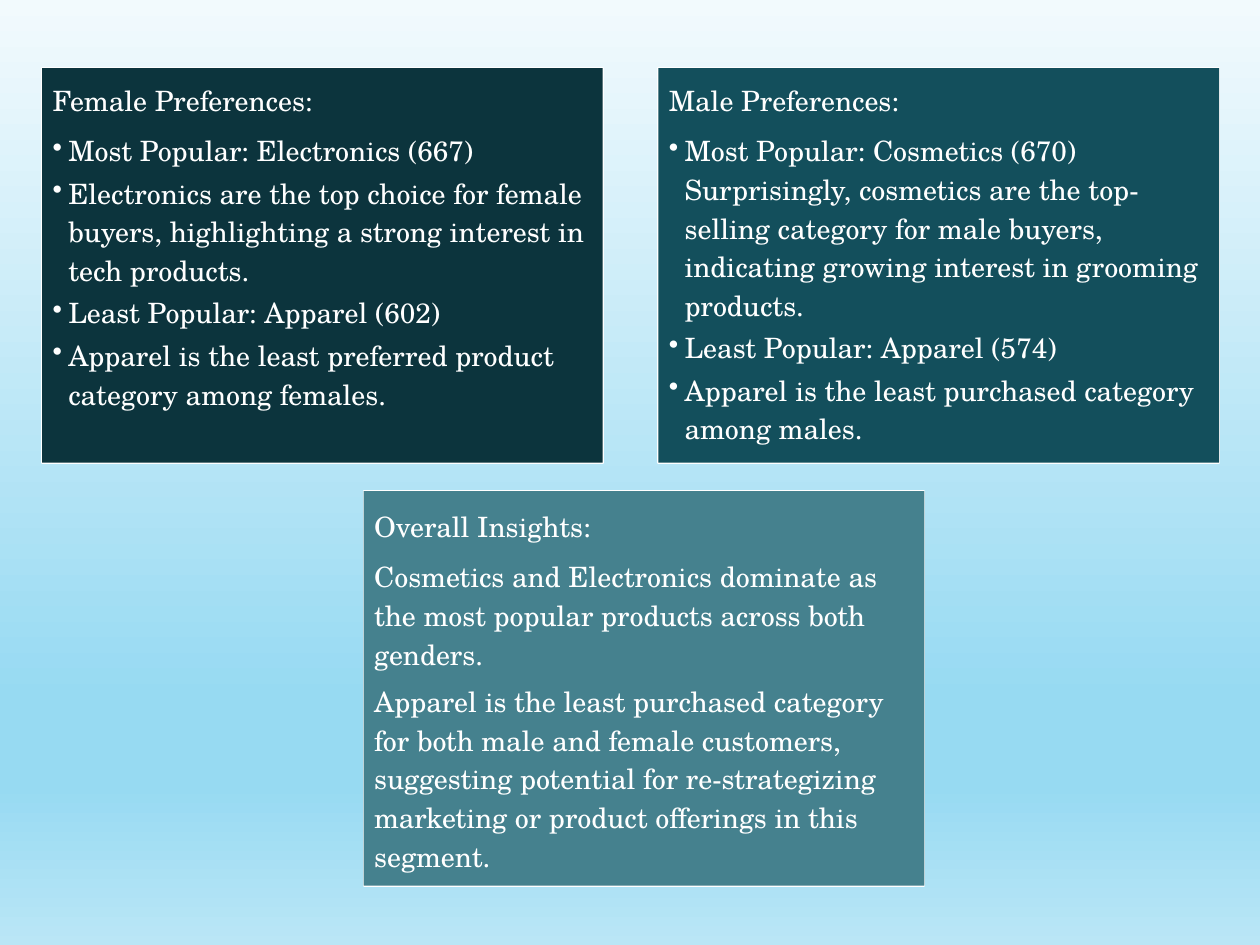
from lxml import etree
from pptx import Presentation
from pptx.dml.color import RGBColor
from pptx.enum.shapes import MSO_SHAPE
from pptx.enum.text import MSO_ANCHOR, PP_ALIGN
from pptx.oxml.ns import qn
from pptx.util import Pt

RECTANGLE = MSO_SHAPE.RECTANGLE
TOP, MIDDLE = MSO_ANCHOR.TOP, MSO_ANCHOR.MIDDLE
LEFT = PP_ALIGN.LEFT

WHITE = RGBColor(0xFF, 0xFF, 0xFF)
DARK_TEAL = RGBColor(0x0C, 0x34, 0x3D)
TEAL = RGBColor(0x13, 0x4F, 0x5C)
SOFT_TEAL = RGBColor(0x45, 0x81, 0x8E)
BLUE = RGBColor(0x23, 0x83, 0xC6)
CYAN = RGBColor(0x24, 0xCE, 0xD7)
GREEN = RGBColor(0x42, 0xBA, 0x97)
PALE_SKY = RGBColor(0xF2, 0xFA, 0xFD)
SKY = RGBColor(0x97, 0xDA, 0xF2)
LIGHT_SKY = RGBColor(0xBA, 0xE6, 0xF6)

SKY_STOPS = [(0, PALE_SKY), (74, SKY), (83, SKY), (100, LIGHT_SKY)]
FONT_FORMAT = {"name": "TeX Gyre Schola", "size": Pt(16)}
PANEL_WIDTH, PANEL_HEIGHT = 320.4, 225.5
ROW_LEFT, ROW_TOP, COLUMN_GAP, ROW_GAP = 24, 38.9, 31.8, 16.2
INSIGHTS_LEFT = 207.8
INSET, BULLET_INDENT = 6, 9

# Space before the paragraphs below the heading: first, then the others
BULLET_SPACES = (6.7, 2.2)
PLAIN_SPACES = (7, 5.2)

FEMALE = {
    "heading": "Female Preferences:",
    "lines": [
        "Most Popular: Electronics (667)",
        "Electronics are the top choice for female buyers, highlighting a "
        "strong interest in tech products.",
        "Least Popular: Apparel (602)",
        "Apparel is the least preferred product category among females.",
    ],
    "fill": DARK_TEAL, "frame": BLUE, "bulleted": True,
}
MALE = {
    "heading": "Male Preferences:",
    "lines": [
        "Most Popular: Cosmetics (670) Surprisingly, cosmetics are the "
        "top-selling category for male buyers, indicating growing interest "
        "in grooming products.",
        "Least Popular: Apparel (574)",
        "Apparel is the least purchased category among males.",
    ],
    "fill": TEAL, "frame": CYAN, "bulleted": True,
}
INSIGHTS = {
    "heading": "Overall Insights:",
    "lines": [
        "Cosmetics and Electronics dominate as the most popular products "
        "across both genders.",
        "Apparel is the least purchased category for both male and female "
        "customers, suggesting potential for re-strategizing marketing or "
        "product offerings in this segment.",
    ],
    "fill": SOFT_TEAL, "frame": GREEN, "bulleted": False,
}


def paint_background(page):
    fill = page.background.fill
    fill.gradient()
    fill.gradient_angle = 270
    # The stop list is rebuilt, as a new gradient has two stops only
    stop_list = next(page.background._cSld.iter(qn("a:gsLst")))
    for stop in list(stop_list):
        stop_list.remove(stop)
    for percent, color in SKY_STOPS:
        stop = etree.SubElement(stop_list, qn("a:gs"), pos=str(percent * 1000))
        etree.SubElement(stop, qn("a:srgbClr"), val=str(color))


def add_bullet(para):
    properties = para._p.get_or_add_pPr()
    properties.set("marL", str(Pt(BULLET_INDENT)))
    properties.set("indent", str(-Pt(BULLET_INDENT)))
    color = etree.SubElement(properties, qn("a:buClr"))
    etree.SubElement(color, qn("a:srgbClr"), val=str(WHITE))
    etree.SubElement(properties, qn("a:buChar"), char="•")


def write_paragraph(para, text, space_before=None, bulleted=False):
    if bulleted:
        para.level = 1
        add_bullet(para)
    para.alignment = LEFT
    para.line_spacing = 1.15
    if space_before is not None:
        para.space_before = Pt(space_before)
    span = para.add_run()
    span.text = text
    for name, value in FONT_FORMAT.items():
        setattr(span.font, name, value)
    span.font.color.rgb = WHITE


def add_rectangle(shapes, box, color):
    rectangle = shapes.add_shape(RECTANGLE, *(Pt(length) for length in box))
    rectangle.shadow.inherit = False
    rectangle.fill.solid()
    rectangle.fill.fore_color.rgb = color
    return rectangle


def add_panel(shapes, box, content):
    # White outline behind the panel
    frame = add_rectangle(shapes, box, content["frame"])
    frame.line.color.rgb = WHITE
    frame.line.width = Pt(1.25)

    # Panel with its text
    panel = add_rectangle(shapes, box, content["fill"])
    panel.line.fill.background()
    bulleted = content["bulleted"]
    text_frame = panel.text_frame
    text_format = {
        "word_wrap": True,
        "vertical_anchor": TOP if bulleted else MIDDLE,
        **{f"margin_{side}": Pt(INSET) for side in ("left", "top", "right", "bottom")},
    }
    for name, value in text_format.items():
        setattr(text_frame, name, value)

    write_paragraph(text_frame.paragraphs[0], content["heading"])
    first_space, next_space = BULLET_SPACES if bulleted else PLAIN_SPACES
    for index, line in enumerate(content["lines"]):
        space = next_space if index else first_space
        write_paragraph(text_frame.add_paragraph(), line, space, bulleted)


def main():
    deck = Presentation()
    deck.slide_width, deck.slide_height = Pt(720), Pt(540)
    page = deck.slides.add_slide(deck.slide_layouts[6])
    paint_background(page)

    # Two panels side by side, the insights below them
    shapes = page.shapes.add_group_shape().shapes
    male_left = ROW_LEFT + PANEL_WIDTH + COLUMN_GAP
    insights_top = ROW_TOP + PANEL_HEIGHT + ROW_GAP
    for left, top, content in (
        (ROW_LEFT, ROW_TOP, FEMALE),
        (male_left, ROW_TOP, MALE),
        (INSIGHTS_LEFT, insights_top, INSIGHTS),
    ):
        add_panel(shapes, (left, top, PANEL_WIDTH, PANEL_HEIGHT), content)

    deck.save("out.pptx")


if __name__ == "__main__":
    main()
